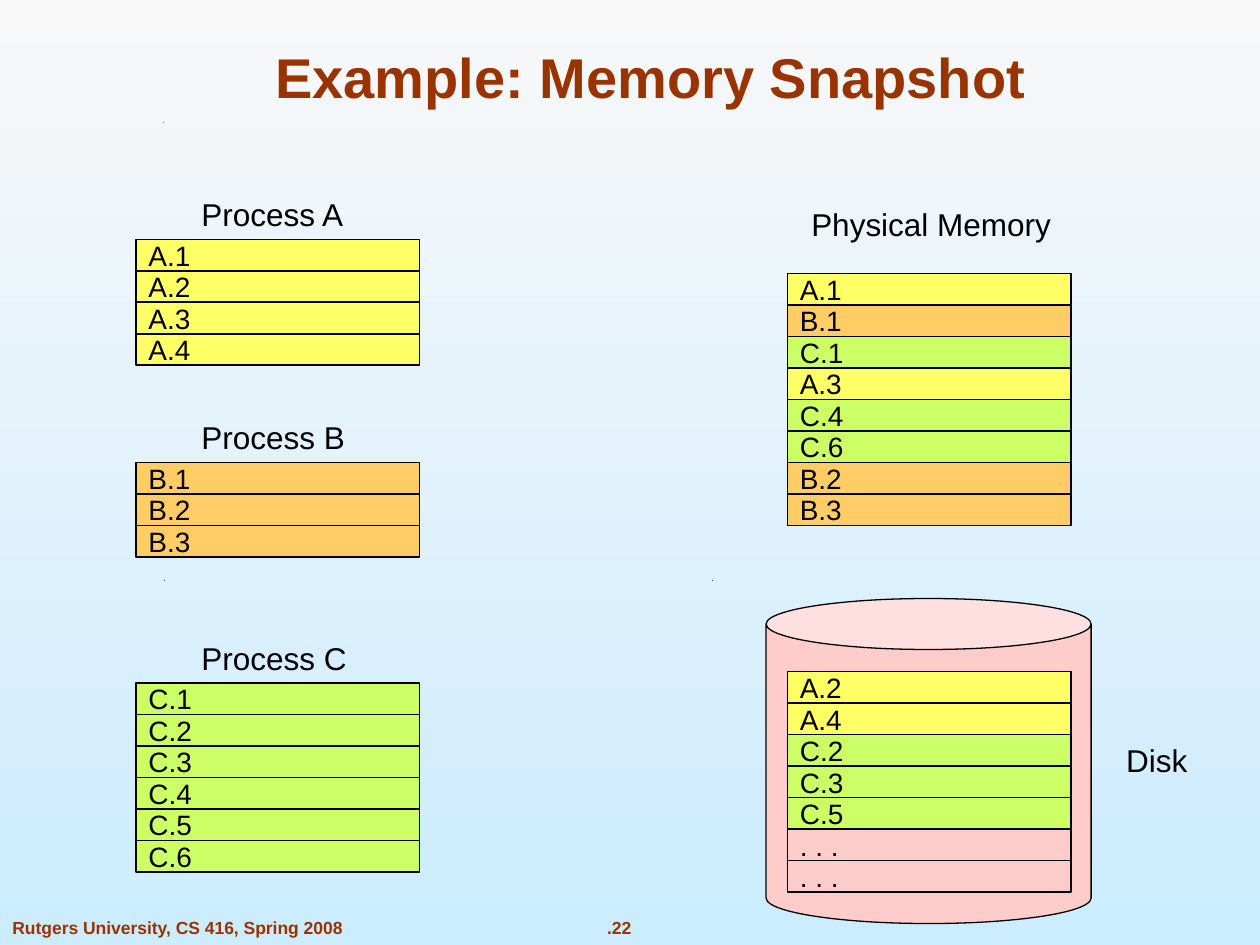
from dataclasses import dataclass

from pptx import Presentation
from pptx.dml.color import RGBColor
from pptx.enum.shapes import MSO_SHAPE
from pptx.enum.text import MSO_ANCHOR, MSO_AUTO_SIZE, PP_ALIGN
from pptx.slide import Slide
from pptx.text.text import TextFrame
from pptx.util import Inches, Pt

COLORS = {
    "A": "FFFF66",
    "B": "FFCC66",
    "C": "CCFF66",
    "disk": "FFCCCC",
    "ink": "000000",
    "heading": "993300",
    "sky_top": "F8F8F8",
    "sky_bottom": "CCECFF",
}
FONT = "Arial"
PAGE_WIDTH, PAGE_HEIGHT = 2.25, 0.25


@dataclass(frozen=True)
class PageStack:
    left: float
    top: float
    pages: tuple[str, ...]


@dataclass(frozen=True)
class Label:
    text: str
    left: float
    top: float
    width: float
    height: float = 0.4
    size: int = 18
    color: str = "ink"
    bold: bool = False
    align: PP_ALIGN = PP_ALIGN.LEFT


@dataclass(frozen=True)
class Speck:
    left: float
    top: float


PAGE_STACKS = (
    PageStack(1.08, 1.9, ("A.1", "A.2", "A.3", "A.4")),
    PageStack(1.08, 3.67, ("B.1", "B.2", "B.3")),
    PageStack(1.08, 5.42, ("C.1", "C.2", "C.3", "C.4", "C.5", "C.6")),
    PageStack(6.25, 2.17, ("A.1", "B.1", "C.1", "A.3", "C.4", "C.6", "B.2", "B.3")),
    PageStack(6.25, 5.33, ("A.2", "A.4", "C.2", "C.3", "C.5", ". . .", ". . .")),
)
LABELS = (
    Label("Process A", 1.5, 1.5, 1.36),
    Label("Process B", 1.5, 3.27, 1.36),
    Label("Process C", 1.5, 5.02, 1.36),
    Label("Physical Memory", 6.34, 1.58, 2.12),
    Label("Disk", 8.84, 5.83, 0.74),
    Label(".22", 4.46, 7.23, 0.91, 0.27, 10, "heading", True, PP_ALIGN.CENTER),
    Label("Rutgers University, CS 416, Spring 2008", 0, 7.23, 2.85, 0.27, 10, "heading", True),
)
SPECKS = (Speck(1.76, 5.42), Speck(1.3, 4.6), Speck(5.65, 4.6), Speck(1.29, 0.97))


def rgb(name: str) -> RGBColor:
    return RGBColor.from_string(COLORS[name])


def write(frame: TextFrame, text: str, size: int, color: str = "ink",
          bold: bool = False, align: PP_ALIGN = PP_ALIGN.LEFT) -> None:
    frame.text = text
    paragraph = frame.paragraphs[0]
    paragraph.alignment = align
    font = paragraph.runs[0].font
    font.name, font.size, font.bold = FONT, Pt(size), bold
    font.color.rgb = rgb(color)


def draw_background(slide: Slide) -> None:
    fill = slide.background.fill
    fill.gradient()
    fill.gradient_angle = 270
    for stop, position, color in zip(fill.gradient_stops, (0, 1), ("sky_top", "sky_bottom")):
        stop.position = position
        stop.color.rgb = rgb(color)


def draw_speck(slide: Slide, speck: Speck) -> None:
    left, top, side = Inches(speck.left), Inches(speck.top), Inches(0.01)
    builder = slide.shapes.build_freeform(left, top + side)
    builder.add_line_segments([(left + side, top), (left + side // 2, top + side)], close=True)
    dot = builder.convert_to_shape()
    dot.shadow.inherit = False
    dot.fill.solid()
    dot.fill.fore_color.rgb = rgb("ink")
    dot.line.fill.background()


def draw_disk(slide: Slide) -> None:
    disk = slide.shapes.add_shape(
        MSO_SHAPE.CAN, Inches(6.08), Inches(4.75), Inches(2.58), Inches(2.58))
    disk.adjustments[0] = 0.157
    disk.shadow.inherit = False
    disk.fill.solid()
    disk.fill.fore_color.rgb = rgb("disk")
    disk.line.color.rgb = rgb("ink")
    disk.line.width = Pt(0.75)


def draw_label(slide: Slide, label: Label) -> None:
    box = slide.shapes.add_textbox(
        Inches(label.left), Inches(label.top), Inches(label.width), Inches(label.height))
    frame = box.text_frame
    frame.word_wrap = False
    frame.auto_size = MSO_AUTO_SIZE.SHAPE_TO_FIT_TEXT
    write(frame, label.text, label.size, label.color, label.bold, label.align)


def draw_stack(slide: Slide, stack: PageStack) -> None:
    for row, page in enumerate(stack.pages):
        cell = slide.shapes.add_shape(
            MSO_SHAPE.RECTANGLE, Inches(stack.left), Inches(stack.top + row * PAGE_HEIGHT),
            Inches(PAGE_WIDTH), Inches(PAGE_HEIGHT))
        cell.shadow.inherit = False
        # A page takes its process's colour; unnamed pages stay clear
        process = page[0]
        if process in COLORS:
            cell.fill.solid()
            cell.fill.fore_color.rgb = rgb(process)
        else:
            cell.fill.background()
        cell.line.color.rgb = rgb("ink")
        cell.line.width = Pt(1)
        frame = cell.text_frame
        frame.word_wrap = False
        frame.vertical_anchor = MSO_ANCHOR.MIDDLE
        write(frame, page, 16)


def main() -> None:
    deck = Presentation()
    deck.slide_width, deck.slide_height = Inches(10), Inches(7.5)
    slide = deck.slides.add_slide(deck.slide_layouts[5])
    draw_background(slide)

    # Title
    title = slide.shapes.title
    title.left, title.top = Inches(0.75), Inches(0.25)
    title.width, title.height = Inches(8.83), Inches(0.67)
    title.text_frame.vertical_anchor = MSO_ANCHOR.BOTTOM
    title.text_frame.auto_size = MSO_AUTO_SIZE.NONE
    write(title.text_frame, "Example: Memory Snapshot", 32, "heading", True, PP_ALIGN.CENTER)

    # Background specks, then the disk behind its pages
    for speck in SPECKS:
        draw_speck(slide, speck)
    draw_disk(slide)

    # Captions, footer and memory pages
    for label in LABELS:
        draw_label(slide, label)
    for stack in PAGE_STACKS:
        draw_stack(slide, stack)

    deck.save("out.pptx")


if __name__ == "__main__":
    main()
